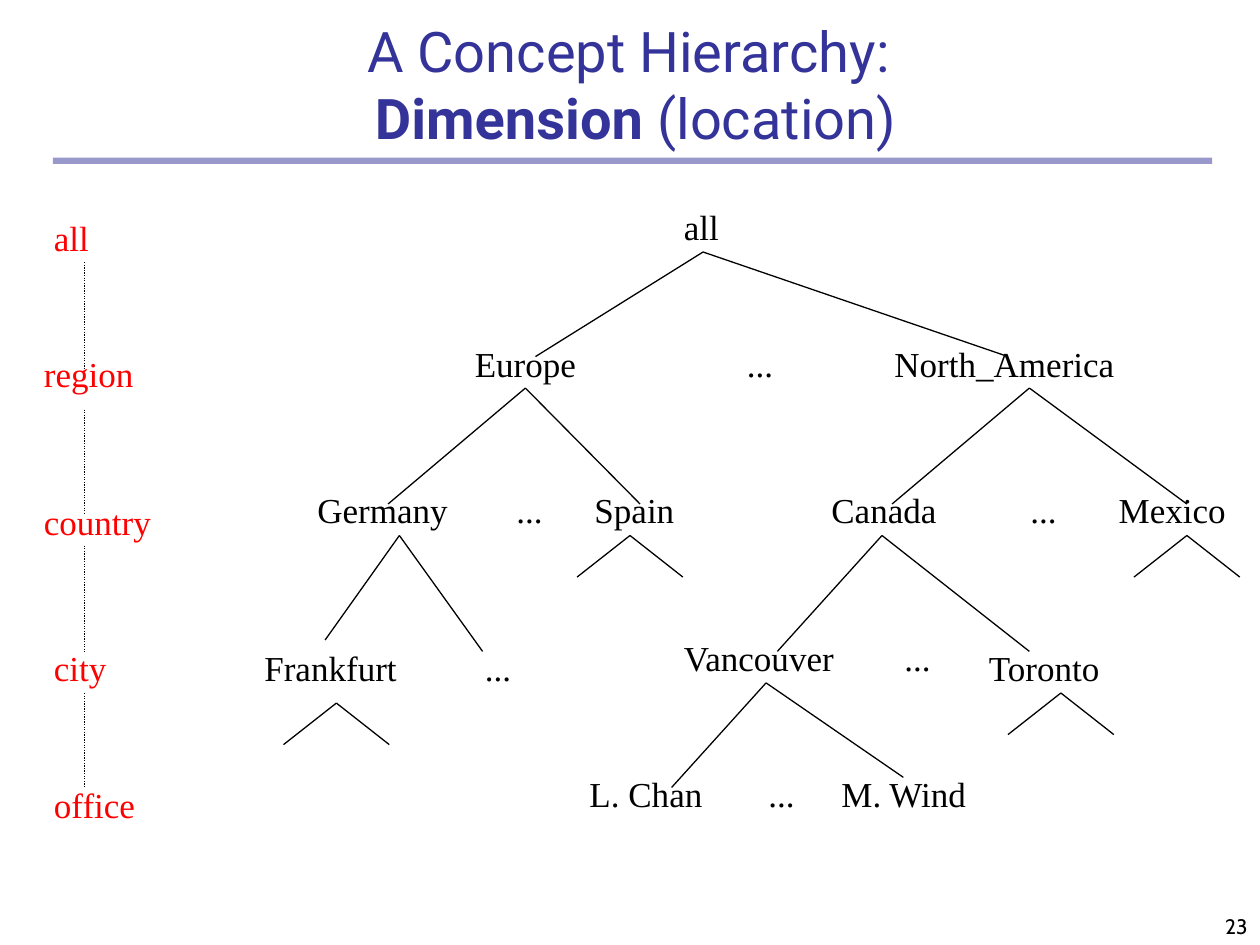
"""Draw a concept hierarchy of the location dimension as a tree."""
from typing import NamedTuple

from lxml.etree import SubElement
from pptx import Presentation
from pptx.dml.color import RGBColor
from pptx.enum.dml import MSO_LINE_DASH_STYLE as Dash
from pptx.enum.shapes import MSO_CONNECTOR as Link, MSO_SHAPE as Shape
from pptx.enum.text import MSO_ANCHOR as Anchor, MSO_AUTO_SIZE as Fit, PP_ALIGN as Align
from pptx.oxml.ns import qn
from pptx.util import Inches, Pt

NAVY = RGBColor(0x33, 0x33, 0x99)
BLACK = RGBColor(0, 0, 0)
RED = RGBColor(0xFF, 0, 0)
SERIF = "Times New Roman"


class Label(NamedTuple):
    text: str
    left: float
    top: float
    width: float


class Fork(NamedTuple):
    x: float
    y: float
    ends: tuple


def twigs(x: float, y: float) -> Fork:
    """Make a short fork for children that are not named."""
    return Fork(x, y, ((x - 0.42, y + 0.33), (x + 0.42, y + 0.33)))


def dots(left: float, top: float) -> Label:
    """Make an ellipsis between siblings."""
    return Label("...", left, top, 0.41)


LEVELS = (
    Label("all", 0.33, 1.67, 0.48),
    Label("region", 0.25, 2.75, 0.92),
    Label("country", 0.25, 3.92, 1.06),
    Label("city", 0.33, 5.08, 0.62),
    Label("office", 0.33, 6.17, 0.85),
)
STEPS = ((2.08, 2.92), (3.25, 4.08), (4.33, 5.17), (5.5, 6.25))
NODES = (
    Label("all", 5.33, 1.58, 0.48),
    Label("Europe", 3.67, 2.67, 1.01),
    dots(5.83, 2.67),
    Label("North_America", 7, 2.67, 1.96),
    Label("Germany", 2.42, 3.83, 1.24),
    dots(4, 3.83),
    Label("Spain", 4.62, 3.83, 0.84),
    Label("Canada", 6.5, 3.83, 1.04),
    dots(8.08, 3.83),
    Label("Mexico", 8.78, 3.83, 1.06),
    Label("Frankfurt", 2, 5.08, 1.26),
    dots(3.75, 5.08),
    Label("Vancouver", 5.33, 5, 1.4),
    dots(7.08, 5),
    Label("Toronto", 7.75, 5.08, 1.09),
    Label("L. Chan", 4.58, 6.08, 1.11),
    dots(6, 6.08),
    Label("M. Wind", 6.58, 6.08, 1.2),
)
FORKS = (
    Fork(5.58, 2, ((4.25, 2.83), (8, 2.83))),
    Fork(4.17, 3.08, ((3.08, 4), (5.08, 4))),
    Fork(8.17, 3.08, ((7.08, 4), (9.42, 4))),
    Fork(3.17, 4.25, ((2.58, 5.08), (3.83, 5.17))),
    Fork(7, 4.25, ((6.17, 5.17), (8.17, 5.17))),
    Fork(6.08, 5.42, ((5.33, 6.25), (7.17, 6.17))),
    twigs(5, 4.25),
    twigs(9.42, 4.25),
    twigs(2.67, 5.58),
    twigs(8.42, 5.5),
)


def style(font, name: str, size: float, color: RGBColor) -> None:
    """Set face, size and colour of a font."""
    font.name, font.size = name, Pt(size)
    font.color.rgb = color


def write(slide, label: Label, color: RGBColor) -> None:
    """Add one label of the tree."""
    box = slide.shapes.add_textbox(
        Inches(label.left), Inches(label.top), Inches(label.width), Inches(0.44))
    frame = box.text_frame
    frame.word_wrap = True
    frame.auto_size = Fit.SHAPE_TO_FIT_TEXT
    frame.text = label.text
    style(frame.paragraphs[0].font, SERIF, 20, color)


def join(slide, start: tuple, end: tuple, dash=None) -> None:
    """Draw a thin black line between two points."""
    line = slide.shapes.add_connector(Link.STRAIGHT, *map(Inches, start + end))
    line.line.color.rgb = BLACK
    line.line.width = Pt(0.75)
    if dash:
        line.line.dash_style = dash
    SubElement(line._element.spPr, qn("a:effectLst"))


def head(slide) -> None:
    """Fill the title and draw the rule under it."""
    bar = slide.shapes.add_shape(
        Shape.RECTANGLE, Inches(0.42), Inches(1.25), Inches(9.2), Inches(0.05))
    bar.shadow.inherit = False
    bar.fill.solid()
    bar.fill.fore_color.rgb = NAVY
    tint = bar._element.spPr.find(qn("a:solidFill"))[0]
    SubElement(tint, qn("a:alpha"), val="50000")
    bar.line.fill.background()

    title = slide.shapes.title
    title.left, title.top = Inches(0.67), Inches(0.58)
    title.width, title.height = Inches(8.75), Inches(0.67)
    frame = title.text_frame
    frame.vertical_anchor = Anchor.BOTTOM
    frame.auto_size = Fit.NONE
    para = frame.paragraphs[0]
    para.alignment = Align.CENTER
    style(para.font, "Roboto", 32, NAVY)
    para.add_run().text = "A Concept Hierarchy: "
    para.add_line_break()
    name = para.add_run()
    name.text = "Dimension"
    name.font.bold = True
    para.add_run().text = " (location)"


def number(slide) -> None:
    """Add the page number in the corner."""
    box = slide.shapes.add_textbox(Inches(7.92), Inches(7), Inches(2.08), Inches(0.5))
    frame = box.text_frame
    frame.word_wrap = True
    frame.vertical_anchor = Anchor.BOTTOM
    frame.text = "23"
    para = frame.paragraphs[0]
    para.alignment = Align.RIGHT
    style(para.font, "Cabin", 12, BLACK)


def main() -> None:
    """Build and save the slide."""
    deck = Presentation()
    deck.slide_width, deck.slide_height = Inches(10), Inches(7.5)
    slide = deck.slides.add_slide(deck.slide_layouts[5])
    head(slide)
    number(slide)
    for node in NODES:
        write(slide, node, BLACK)
    for fork in FORKS:
        for end in fork.ends:
            join(slide, (fork.x, fork.y), end)
    for level in LEVELS:
        write(slide, level, RED)
    for top, low in STEPS:
        join(slide, (0.67, top), (0.67, low), Dash.ROUND_DOT)
    deck.save("out.pptx")


if __name__ == "__main__":
    main()
